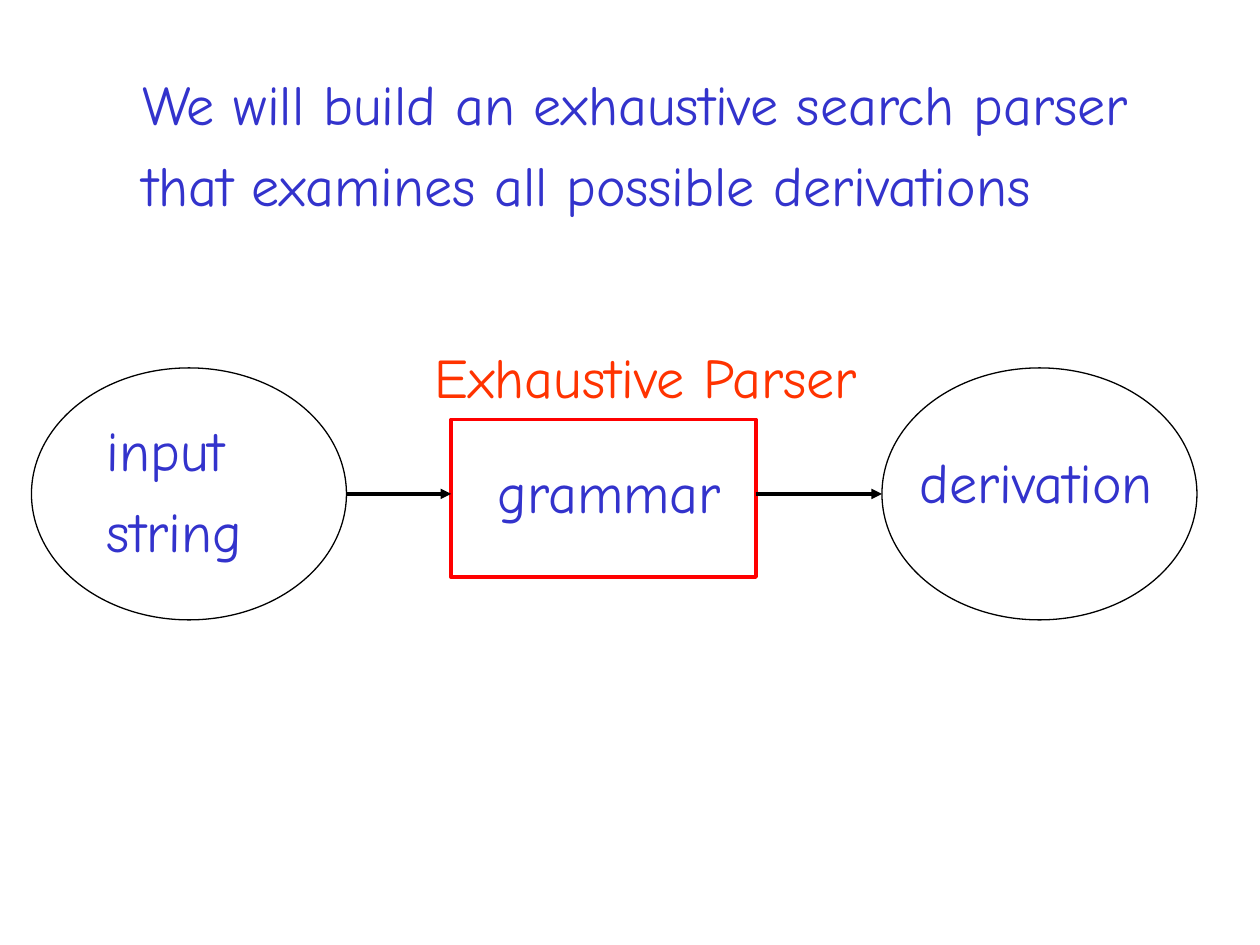
from lxml import etree
from pptx import Presentation, util as u
from pptx.dml.color import RGBColor
from pptx.enum import shapes, text
from pptx.oxml.ns import qn

COLORS = {"blue": "3333CC", "orange": "FF3300", "red": "FF0000", "black": "000000"}
FONT, SIZE = "Comic Neue", 32
LINE_HEIGHT, SPACE_BEFORE = 0.64, 8
FLOW_Y = 3.92  # height of the axis that the arrows run along

# Outline: preset, left, top, width, height, colour, line width
OUTLINES = [
    (shapes.MSO_SHAPE.OVAL, 0.25, FLOW_Y - 1, 2.5, 2, "black", 0.75),
    (shapes.MSO_SHAPE.RECTANGLE, 3.58, 3.33, 2.42, 1.25, "red", 2),
    (shapes.MSO_SHAPE.OVAL, 7, FLOW_Y - 1, 2.5, 2, "black", 0.75),
]
# Label: lines, left, top, width, colour
LABELS = [
    (["We will build an exhaustive search parser",
      "that examines all possible derivations"], 1.03, 0.5, 8.08, "blue"),
    (["Exhaustive Parser"], 3.35, 2.67, 3.58, "orange"),
    (["input", "string"], 0.75, 3.25, 1.27, "blue"),
    (["grammar"], 3.85, 3.58, 1.98, "blue"),
    (["derivation"], 7.2, 3.5, 2.06, "blue"),
]


def color(name):
    return RGBColor.from_string(COLORS[name])


def add_outline(page, preset, left, top, width, height, line_color, weight):
    shape = page.shapes.add_shape(preset, *map(u.Inches, (left, top, width, height)))
    shape.shadow.inherit = False
    shape.fill.background()
    shape.line.color.rgb = color(line_color)
    shape.line.width = u.Pt(weight)


def add_label(page, lines, left, top, width, text_color):
    height = LINE_HEIGHT * len(lines)
    box = page.shapes.add_textbox(*map(u.Inches, (left, top, width, height)))
    frame = box.text_frame
    frame.word_wrap = False
    frame.auto_size = text.MSO_AUTO_SIZE.SHAPE_TO_FIT_TEXT
    frame.text = "\n".join(lines)
    for index, para in enumerate(frame.paragraphs):
        para.space_before = u.Pt(SPACE_BEFORE if index else 0)
        para.font.name = FONT
        para.font.size = u.Pt(SIZE)
        para.font.color.rgb = color(text_color)


def add_arrow(page, start, end):
    arrow = page.shapes.add_connector(
        shapes.MSO_CONNECTOR.STRAIGHT, *map(u.Inches, (start, FLOW_Y, end, FLOW_Y)))
    arrow.line.color.rgb = color("black")
    arrow.line.width = u.Pt(2)
    etree.SubElement(arrow.line._get_or_add_ln(), qn("a:tailEnd"), type="triangle")
    etree.SubElement(arrow._element.spPr, qn("a:effectLst"))


def main():
    deck = Presentation()
    deck.slide_width, deck.slide_height = u.Inches(10), u.Inches(7.5)
    page = deck.slides.add_slide(deck.slide_layouts[6])
    for outline in OUTLINES:
        add_outline(page, *outline)
    for source, target in zip(OUTLINES, OUTLINES[1:]):
        add_arrow(page, source[1] + source[3], target[1])
    for label in LABELS:
        add_label(page, *label)
    deck.save("out.pptx")


if __name__ == "__main__":
    main()
